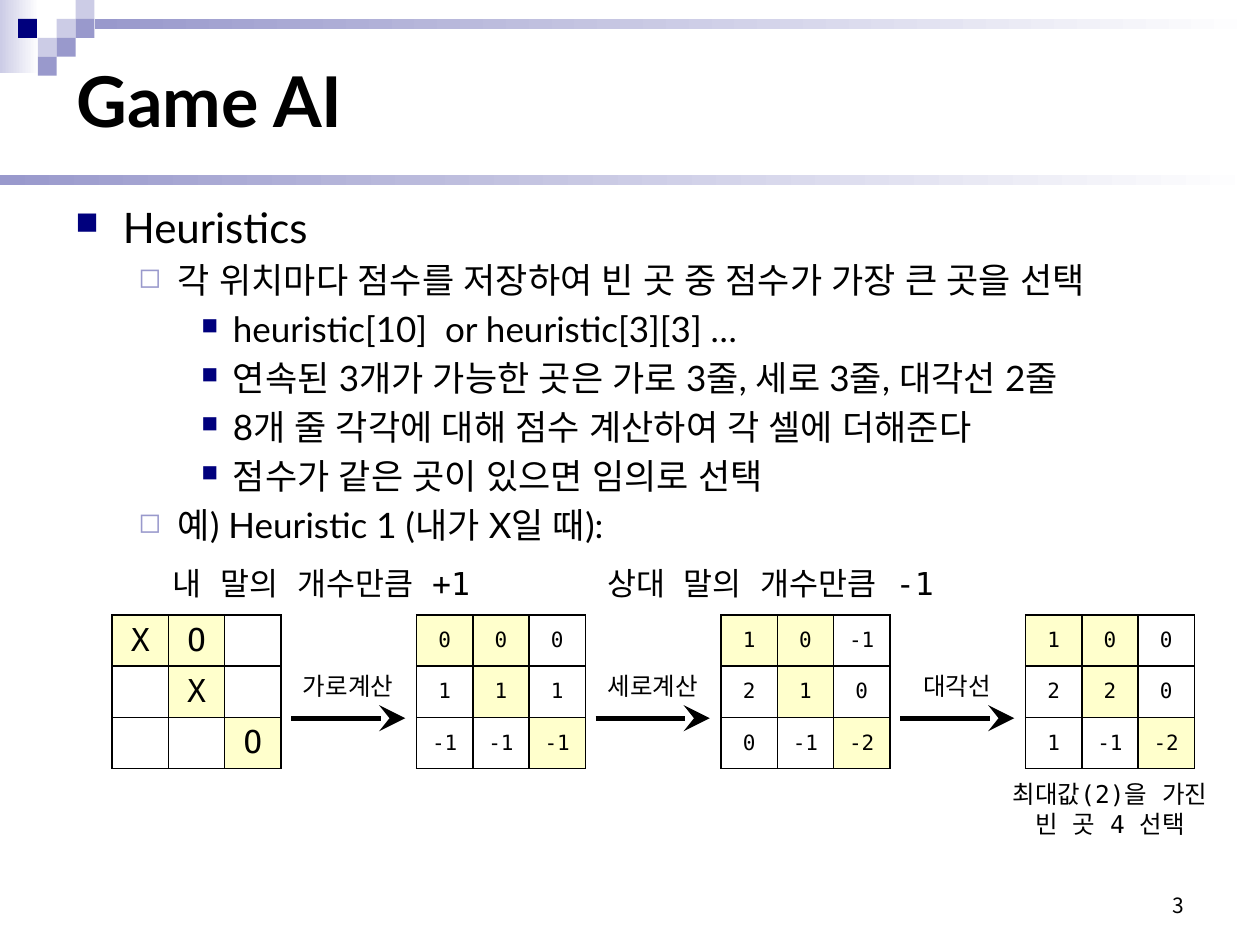
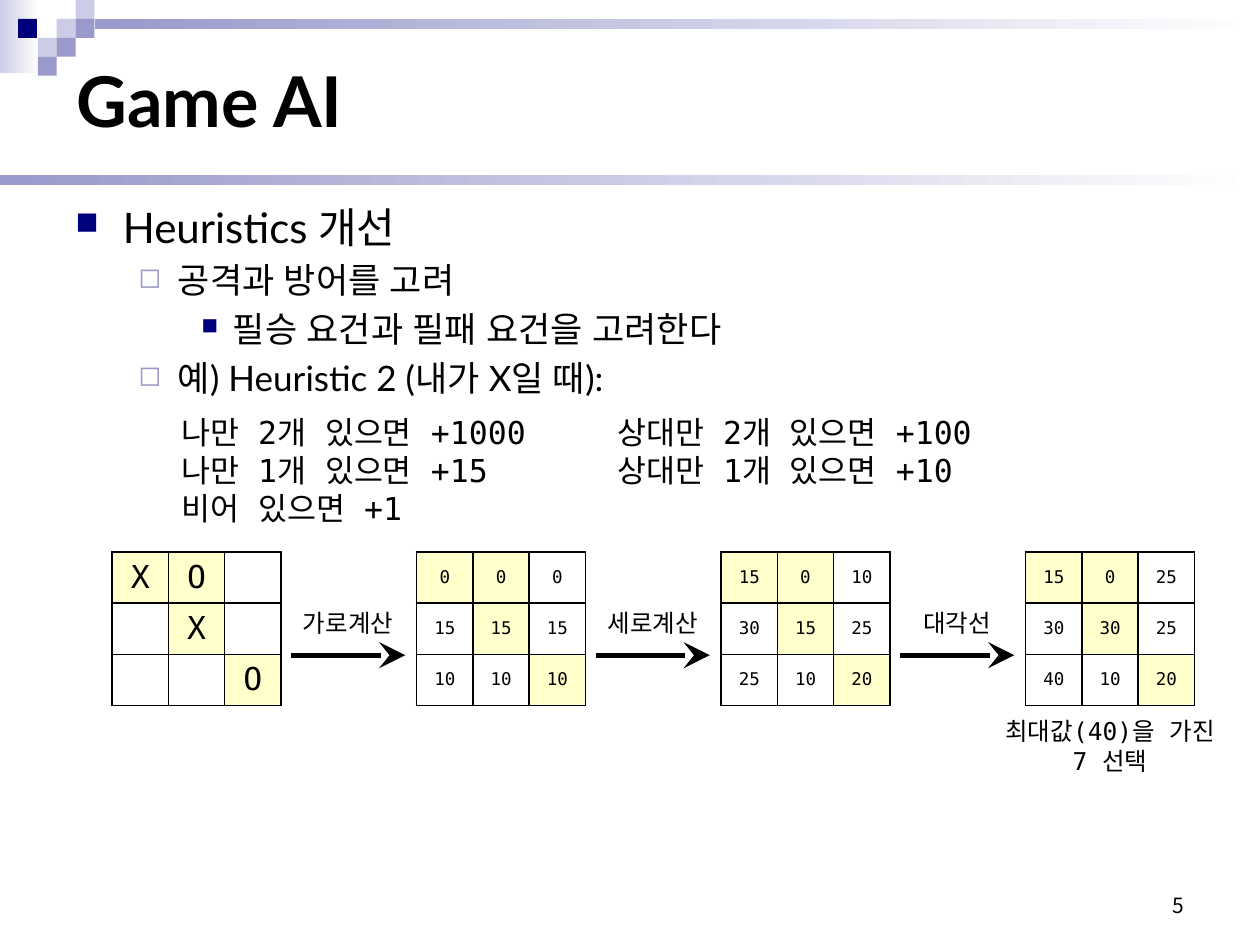
from dataclasses import dataclass
from lxml import etree
from pptx import Presentation
from pptx.dml.color import RGBColor
from pptx.enum.shapes import MSO_CONNECTOR, MSO_SHAPE
from pptx.enum.text import MSO_ANCHOR, PP_ALIGN
from pptx.oxml.ns import qn
from pptx.util import Pt

RECT = MSO_SHAPE.RECTANGLE
LINE = MSO_CONNECTOR.STRAIGHT
TOP, MIDDLE, BOTTOM = MSO_ANCHOR.TOP, MSO_ANCHOR.MIDDLE, MSO_ANCHOR.BOTTOM
LEFT, CENTER, RIGHT = PP_ALIGN.LEFT, PP_ALIGN.CENTER, PP_ALIGN.RIGHT
PX = 3048  # 300 px to the inch


@dataclass(frozen=True)
class Theme:
    ink: str = "000000"
    paper: str = "FFFFFF"
    navy: str = "00007D"
    mid: str = "9999CC"
    pale: str = "CCCCE6"
    mark: str = "FFFFCC"
    sans: str = "Lato"
    mono: str = "DejaVu Sans Mono"
    plain: str = "Noto Sans CJK KR"
    title: int = 40
    head: int = 24
    body: int = 20
    note: int = 18
    label: int = 14
    page: int = 12


T = Theme()

# Per level: left margin, hanging indent, space before, size, bullet, colour, bullet %
LEVELS = (
    (113, 113, 0, T.head, "■", T.navy, 75),
    (244, 94, 4, T.body, "◻", T.mid, 80),
    (375, 75, 4, T.body, "■", T.navy, 65),
)

# Corner squares: left, top, colour
SQUARES = (
    (135, 45, T.pale), (180, 0, T.pale), (180, 45, T.mid), (90, 90, T.pale),
    (43, 45, T.navy), (135, 90, T.mid), (90, 135, T.mid),
)

COL, ROW, PITCH = 134, 122, 725
BOARD = (("X", "O", ""), ("", "X", ""), ("", "", "O"))
STEPS = ("가로계산", "세로계산", "대각선")


def px(*sizes):
    return [size * PX for size in sizes]


def rgb(code):
    return RGBColor.from_string(code)


def node(parent, tag, **attrs):
    return etree.SubElement(parent, qn(tag), attrs)


def style(para, size, face, align=LEFT, bold=False):
    """Set one font for Latin and Korean text alike."""
    para.alignment = align
    font = para.font
    font.size, font.name, font.bold = Pt(size), face, bold
    font.color.rgb = rgb(T.ink)
    node(para._p.pPr.find(qn("a:defRPr")), "a:ea", typeface=face)


def write(slide, box, lines, size, face, align=LEFT, anchor=TOP, bold=False):
    frame = slide.shapes.add_textbox(*px(*box)).text_frame
    frame.word_wrap = True
    frame.vertical_anchor = anchor
    frame.text = "\n".join(lines)
    for para in frame.paragraphs:
        style(para, size, face, align, bold)
    return frame


def block(slide, box, color, fade=False):
    """Draw a plain rectangle, or one that fades to paper on the right."""
    shape = slide.shapes.add_shape(RECT, *px(*box))
    shape.shadow.inherit = False
    shape.line.fill.background()
    if fade:
        shape.fill.gradient()
        shape.fill.gradient_angle = 0
        for stop, place, tone in zip(shape.fill.gradient_stops, (0, 1), (color, T.paper)):
            stop.position = place
            stop.color.rgb = rgb(tone)
    else:
        shape.fill.solid()
        shape.fill.fore_color.rgb = rgb(color)


def frame(slide, page):
    """Draw the bands, corner squares, title and page number."""
    block(slide, (0, 0, 93, 174), T.pale, True)
    block(slide, (225, 45, 2775, 23), T.mid, True)
    for left, top, color in SQUARES:
        block(slide, (left, top, 45, 45), color)
    block(slide, (0, 417, 3000, 23), T.mid, True)
    write(slide, (153, 84, 2700, 306), ["Game AI"], T.title, T.sans, anchor=MIDDLE, bold=True)
    write(slide, (2151, 2049, 699, 150), [str(page)], T.page, T.plain, RIGHT, BOTTOM)


def outline(slide, box, items):
    """Write (level, text) items as a bulleted list."""
    body = write(slide, box, [text for _, text in items], T.body, T.sans)
    for para, (level, _) in zip(body.paragraphs, items):
        margin, hang, gap, size, mark, color, scale = LEVELS[level]
        para.level = level
        para.space_before = Pt(gap)
        para.font.size = Pt(size)
        props = para._p.pPr
        props.set("marL", str(margin * PX))
        props.set("indent", str(-hang * PX))
        tint = etree.Element(qn("a:buClr"))
        node(tint, "a:srgbClr", val=color)
        ratio = etree.Element(qn("a:buSzPct"), val=str(scale * 1000))
        char = etree.Element(qn("a:buChar"), char=mark)
        fonts = props.find(qn("a:defRPr"))
        for part in (tint, ratio, char):
            fonts.addprevious(part)


def edge(cell):
    props = cell._tc.get_or_add_tcPr()
    for side in "LRTB":
        line = node(props, f"a:ln{side}", w=str(Pt(1)))
        node(node(line, "a:solidFill"), "a:srgbClr", val=T.ink)


def grid(slide, left, top, rows, size):
    """Draw a 3 x 3 table; cells taken on the board are marked."""
    table = slide.shapes.add_table(3, 3, *px(left, top, 3 * COL, 3 * ROW)).table
    table.first_row = table.horz_banding = False
    for i in range(3):
        table.columns[i].width, table.rows[i].height = px(COL, ROW)
        for j in range(3):
            cell = table.cell(i, j)
            cell.margin_left = cell.margin_right = cell.margin_top = cell.margin_bottom = 0
            cell.vertical_anchor = MIDDLE
            cell.text = str(rows[i][j])
            style(cell.text_frame.paragraphs[0], size, T.mono, CENTER)
            edge(cell)
            if BOARD[i][j]:
                cell.fill.solid()
                cell.fill.fore_color.rgb = rgb(T.mark)
            else:
                cell.fill.background()


def arrow(slide, left, top, label):
    line = slide.shapes.add_connector(LINE, *px(left + 39, top + 126, left + 311, top + 126))
    line.line.color.rgb = rgb(T.ink)
    line.line.width = Pt(3)
    node(line.line._get_or_add_ln(), "a:tailEnd", type="stealth", w="lg", len="lg")
    node(line._element.spPr, "a:effectLst")
    write(slide, (left, top, 351, 102), [label], T.label, T.mono, CENTER)


def flow(slide, left, top, scores, size, result):
    """Draw the board, each scoring step, and the result under the last grid."""
    grid(slide, left, top, BOARD, T.note)
    for label, rows in zip(STEPS, scores):
        arrow(slide, left + 387, top + 120, label)
        left += PITCH
        grid(slide, left, top, rows, size)
    wide = 636
    box = (left + (3 * COL - wide) // 2, top + 377, wide, 171)
    write(slide, box, result, T.label, T.mono, CENTER)


def lesson(deck, page, items, notes, top, scores, size, result):
    slide = deck.slides.add_slide(deck.slide_layouts[6])
    frame(slide, page)
    outline(slide, (150, 465, 2700, 1584), items)
    for box, lines in notes:
        write(slide, box, lines, T.note, T.mono)
    flow(slide, 267, top, scores, size, result)


def main():
    deck = Presentation()
    deck.slide_width, deck.slide_height = px(3000, 2250)
    lesson(
        deck, 3,
        items=(
            (0, "Heuristics"),
            (1, "각 위치마다 점수를 저장하여 빈 곳 중 점수가 가장 큰 곳을 선택"),
            (2, "heuristic[10]  or heuristic[3][3] …"),
            (2, "연속된 3개가 가능한 곳은 가로 3줄, 세로 3줄, 대각선 2줄"),
            (2, "8개 줄 각각에 대해 점수 계산하여 각 셀에 더해준다"),
            (2, "점수가 같은 곳이 있으면 임의로 선택"),
            (1, "예) Heuristic 1 (내가 X일 때):"),
        ),
        notes=(
            ((381, 1329, 888, 120), ["내 말의 개수만큼 +1"]),
            ((1416, 1329, 1071, 120), ["상대 말의 개수만큼 -1"]),
        ),
        top=1464,
        scores=(
            ((0, 0, 0), (1, 1, 1), (-1, -1, -1)),
            ((1, 0, -1), (2, 1, 0), (0, -1, -2)),
            ((1, 0, 0), (2, 2, 0), (1, -1, -2)),
        ),
        size=12,
        result=["최대값(2)을 가진", "빈 곳 4 선택"],
    )
    lesson(
        deck, 5,
        items=(
            (0, "Heuristics 개선"),
            (1, "공격과 방어를 고려"),
            (2, "필승 요건과 필패 요건을 고려한다"),
            (1, "예) Heuristic 2 (내가 X일 때):"),
        ),
        notes=(
            ((402, 969, 975, 303),
             ["나만 2개 있으면 +1000", "나만 1개 있으면 +15", "비어 있으면 +1"]),
            ((1440, 969, 1071, 213), ["상대만 2개 있으면 +100", "상대만 1개 있으면 +10"]),
        ),
        top=1314,
        scores=(
            ((0, 0, 0), (15, 15, 15), (10, 10, 10)),
            ((15, 0, 10), (30, 15, 25), (25, 10, 20)),
            ((15, 0, 25), (30, 30, 25), (40, 10, 20)),
        ),
        size=10,
        result=["최대값(40)을 가진", "7 선택"],
    )
    deck.save("out.pptx")


if __name__ == "__main__":
    main()
